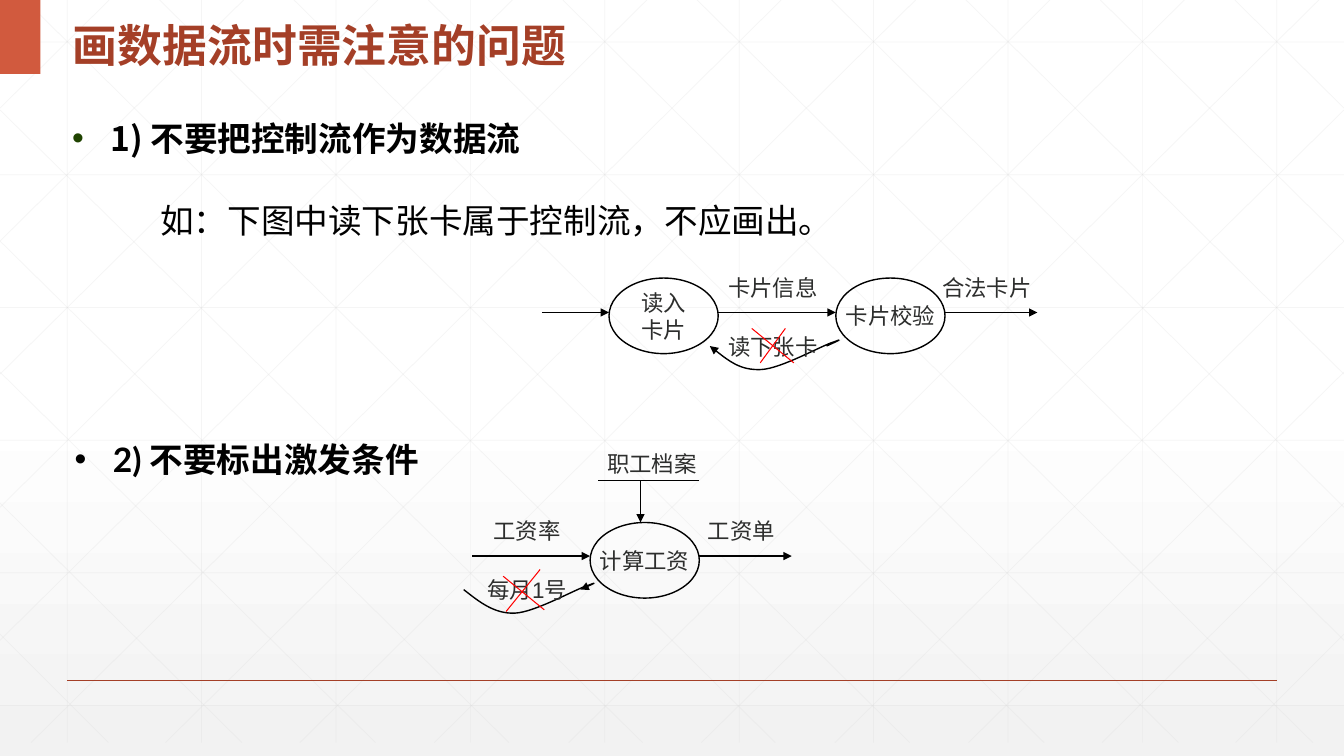
from lxml.etree import SubElement
from pptx import Presentation
from pptx.dml.color import RGBColor
from pptx.enum.shapes import MSO_CONNECTOR, MSO_SHAPE
from pptx.enum.text import MSO_ANCHOR, PP_ALIGN
from pptx.oxml.ns import qn
from pptx.util import Inches, Pt

COLUMNS, ROWS = 160, 90
HEADING_FONT, BODY_FONT, LABEL_FONT = "Noto Sans CJK SC", "Lato", "Arial"
RUST, BLACK, RED, GREY = "A43F27", "000000", "FF0000", "D9D9D9"


def color(value):
    return RGBColor.from_string(value)


class DataFlowSlide:
    def __init__(self, presentation):
        self.column = presentation.slide_width / COLUMNS
        self.row = presentation.slide_height / ROWS
        self.slide = presentation.slides.add_slide(presentation.slide_layouts[6])
        self.shapes = self.slide.shapes

    def x(self, columns):
        return round(columns * self.column)

    def y(self, rows):
        return round(rows * self.row)

    def box(self, left, top, width, height):
        return self.x(left), self.y(top), self.x(width), self.y(height)

    def start_group(self):
        self.shapes = self.slide.shapes.add_group_shape().shapes

    def end_group(self):
        self.shapes = self.slide.shapes

    def background(self):
        fill = self.slide.background.fill
        fill.gradient()
        fill.gradient_angle = 270
        for stop, position, value in zip(fill.gradient_stops, (0.53, 1), ("FFFFFF", "F2F2F2")):
            stop.position = position
            stop.color.rgb = color(value)

    def arrowhead(self, shape, end):
        SubElement(shape.line._get_or_add_ln(), qn(f"a:{end}"), type="triangle")

    def line(self, start, end, value=BLACK, width=0.75, opacity=100, arrow=False):
        connector = self.shapes.add_connector(
            MSO_CONNECTOR.STRAIGHT, self.x(start[0]), self.y(start[1]), self.x(end[0]), self.y(end[1]))
        connector.line.color.rgb = color(value)
        connector.line.width = Pt(width)
        SubElement(connector._element.spPr, qn("a:effectLst"))
        if opacity < 100:
            tint = connector._element.xpath(".//a:ln//a:srgbClr")[0]
            SubElement(tint, qn("a:alpha"), val=str(opacity * 1000))
        if arrow:
            self.arrowhead(connector, "tailEnd")

    def flow(self, left, right, row):
        self.line((left, row), (right, row), width=1, arrow=True)

    def curve(self, left, top, arrow_end):
        points = [(0, 1), (1.8, 2.4), (3.6, 3.9), (6.1, 3.8), (8.5, 3.7), (13.4, 0.9),
                  (14.8, 0.5), (16.1, 0), (15, 0.5), (13.9, 1)]
        places = [(self.x(left + across), self.y(top + down)) for across, down in points]
        builder = self.shapes.build_freeform(*places[0])
        builder.add_line_segments(places[1:], close=False)
        shape = builder.convert_to_shape()
        segments = shape._element.xpath(".//a:lnTo")
        for first in range(0, len(segments), 3):
            bezier = SubElement(segments[first].getparent(), qn("a:cubicBezTo"))
            for segment in segments[first:first + 3]:
                bezier.append(segment[0])
                segment.getparent().remove(segment)
        shape.shadow.inherit = False
        shape.fill.background()
        shape.line.color.rgb = color(BLACK)
        shape.line.width = Pt(1)
        self.arrowhead(shape, arrow_end)

    def cross(self, rising, falling):
        for start, end in (rising, falling):
            self.line(start, end, RED)

    def style(self, paragraph, font_name, size, value, bold=False):
        for run in paragraph.runs:
            run.font.name = font_name
            run.font.size = Pt(size)
            run.font.bold = bold
            run.font.color.rgb = color(value)
            SubElement(run.font._element, qn("a:ea"), typeface=font_name)

    def shape(self, kind, place, text="", fill=None, outline=None):
        shape = self.shapes.add_shape(kind, *self.box(*place))
        shape.shadow.inherit = False
        if fill:
            shape.fill.solid()
            shape.fill.fore_color.rgb = color(fill)
        else:
            shape.fill.background()
        if outline:
            shape.line.color.rgb = color(outline)
            shape.line.width = Pt(1)
        else:
            shape.line.fill.background()
        if text:
            frame = shape.text_frame
            frame.text = text
            frame.word_wrap = False
            frame.vertical_anchor = MSO_ANCHOR.MIDDLE
            for paragraph in frame.paragraphs:
                paragraph.alignment = PP_ALIGN.CENTER
                self.style(paragraph, LABEL_FONT, 16, "2D2E2D")

    def process(self, left, top, text):
        self.shape(MSO_SHAPE.OVAL, (left, top, 13, 9), text, outline=BLACK)

    def label(self, left, top, width, text):
        self.shape(MSO_SHAPE.FLOWCHART_PROCESS, (left, top, width, 6), text)

    def text(self, place, text, font_name, size, value=BLACK, bold=True, bullet=None):
        frame = self.shapes.add_textbox(*self.box(*place)).text_frame
        frame.word_wrap = True
        frame.text = text
        paragraph = frame.paragraphs[0]
        if bullet:
            properties = paragraph._p.get_or_add_pPr()
            properties.set("marL", str(Inches(0.38)))
            properties.set("indent", str(-Inches(0.38)))
            bullet_color = SubElement(properties, qn("a:buClr"))
            SubElement(bullet_color, qn("a:srgbClr"), val=bullet)
            SubElement(properties, qn("a:buFont"), typeface="Arial")
            SubElement(properties, qn("a:buChar"), char="•")
        self.style(paragraph, font_name, size, value, bold)
        return frame

    def lattice(self):
        bottom, slope = 88.4, 0.99
        lines = [((8 + 16 * i, 0), (8 + 16 * i, bottom)) for i in range(10)]
        lines += [((0, 5 + 15.8 * i), (COLUMNS, 5 + 15.8 * i)) for i in range(6)]
        diagonals = []
        for i in range(10):
            start = 3 + 16 * i
            end = min(start + bottom / slope, COLUMNS)
            diagonals.append(((start, 0), (end, (end - start) * slope)))
        diagonals += [((0, 13.1 + 15.6 * i), (76.5 - 15.9 * i, bottom)) for i in range(5)]
        mirrored = [tuple((COLUMNS - across, down) for across, down in line) for line in diagonals]
        self.start_group()
        for start, end in lines + diagonals + mirrored:
            self.line(start, end, GREY, 0.5, 25)
        self.end_group()

    def card_diagram(self):
        self.start_group()
        for left, right in ((64.5, 72.5), (85.5, 99.5), (112.5, 123.5)):
            self.flow(left, right, 37.2)
        self.label(111.5, 31.2, 12, "合法卡片")
        self.label(87.5, 31.2, 9, "卡片信息")
        self.process(72.5, 33.1, "读入\n卡片")
        self.process(99.5, 33.1, "卡片校验")
        self.curve(84.5, 40.2, "headEnd")
        self.label(87.5, 38.2, 9, "读下张卡")
        self.cross(((93.5, 39.1), (90.5, 43.2)), ((89.5, 39.1), (94.5, 43.2)))
        self.end_group()

    def salary_diagram(self):
        self.start_group()
        for left, right in ((56.25, 70.25), (83.25, 94.25)):
            self.flow(left, right, 66.2)
        self.label(82.25, 60.2, 12, "工资单")
        self.label(58.25, 60.2, 9, "工资率")
        self.process(70.25, 62.2, "计算工资")
        self.curve(55.2, 69.2, "tailEnd")
        self.label(58.25, 67.2, 9, "每月1号")
        self.line((71.25, 57.2), (83.25, 57.2))
        self.label(71.6, 52.2, 12, "职工档案")
        self.line((76.25, 57.2), (76.25, 62.2), arrow=True)
        self.cross(((64.3, 67.8), (60.25, 72.8)), ((59.9, 68.6), (64.8, 72.6)))
        self.end_group()


def main():
    presentation = Presentation()
    presentation.slide_width = Inches(13.33)
    presentation.slide_height = Inches(7.5)
    page = DataFlowSlide(presentation)
    page.background()
    page.lattice()
    page.line((8, 81), (152, 81), RUST, 1)
    page.shape(MSO_SHAPE.RECTANGLE, (0, 0, 4.8, 8.8), fill="D15A3E")
    title = page.text((7.5, 0, 68.3, 8.8), "画数据流时需注意的问题", HEADING_FONT, 32, RUST)
    title.vertical_anchor = MSO_ANCHOR.MIDDLE
    title.paragraphs[0].line_spacing = 1.3
    page.text((7.4, 13.4, 124, 6), "1) 不要把控制流作为数据流", HEADING_FONT, 24, bullet="1F4300")
    page.card_diagram()
    page.salary_diagram()
    page.text((17.9, 23.2, 86, 6), "如：下图中读下张卡属于控制流，不应画出。", BODY_FONT, 24, bold=False)
    page.text((7.7, 51.7, 60, 6), "2) 不要标出激发条件", BODY_FONT, 24, bullet=BLACK)
    presentation.save("out.pptx")


if __name__ == "__main__":
    main()
